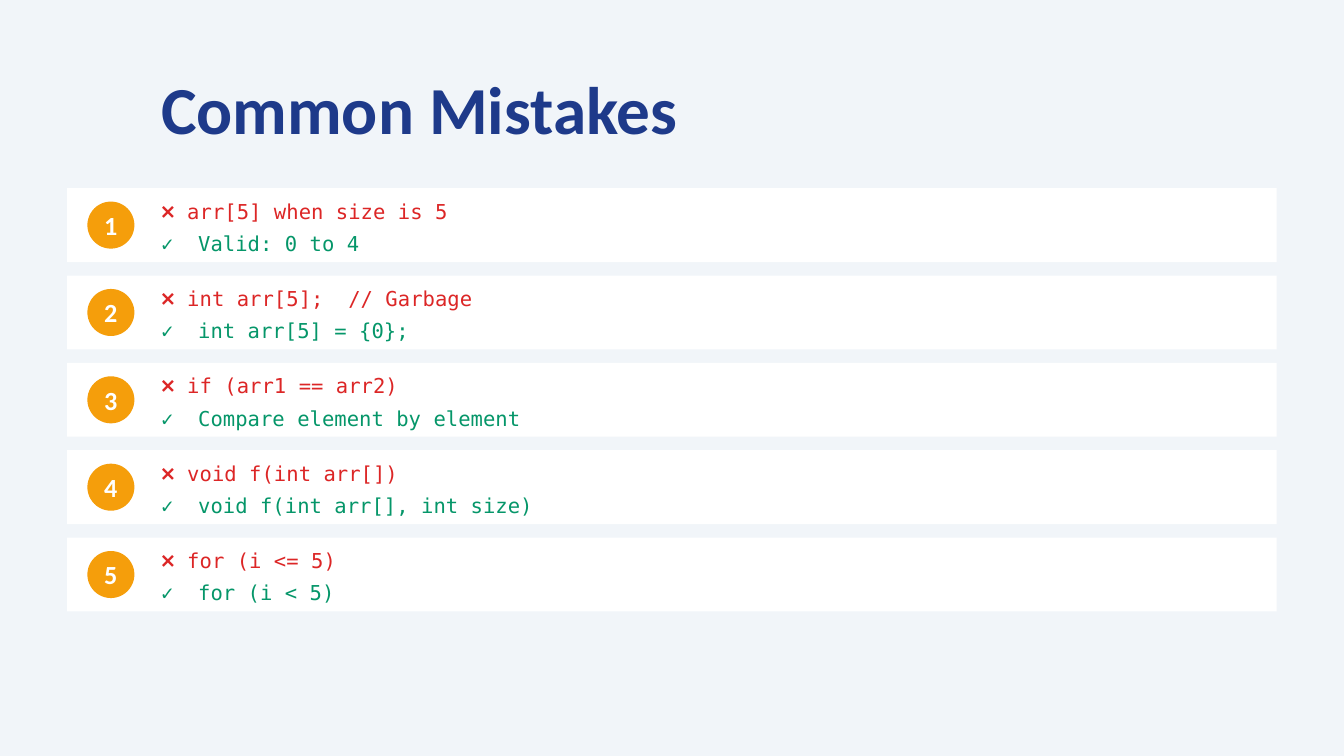
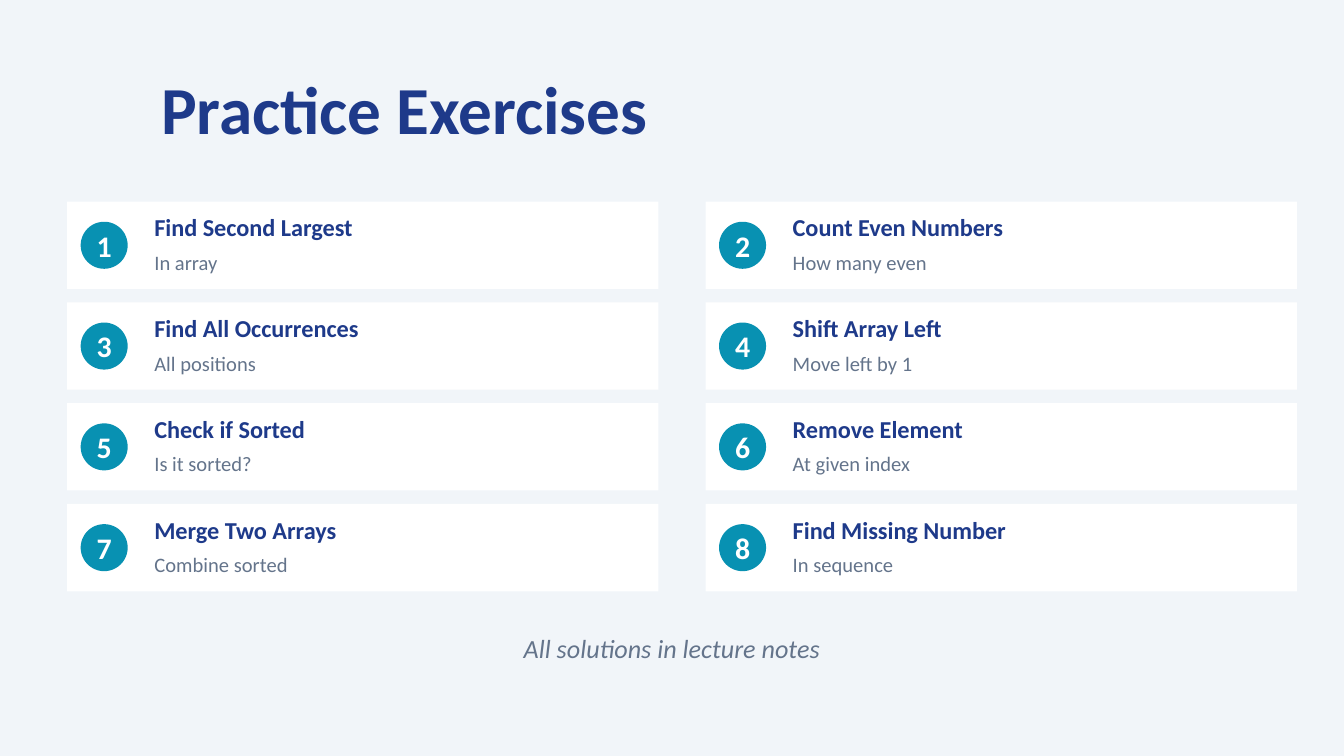
"""Build two array lecture slides: common mistakes and practice exercises."""
from pptx import Presentation
from pptx.dml.color import RGBColor
from pptx.enum.shapes import MSO_SHAPE as Shape
from pptx.enum.text import MSO_ANCHOR as Anchor, PP_ALIGN as Align
from pptx.util import Emu, Pt

PX = 4572
SLIDE_WIDTH, SLIDE_HEIGHT = 2000, 1125
BADGE_SIZE = 70
BODY_FONT, CODE_FONT = "Calibri", "DejaVu Sans Mono"
COLORS = {
    "background": "F1F5F9",
    "card": "FFFFFF",
    "heading": "1E3A8A",
    "muted": "64748B",
    "wrong": "DC2626",
    "right": "059669",
    "mistake_badge": "F59E0B",
    "exercise_badge": "0891B2",
    "badge_text": "FFFFFF",
}
MISTAKES = [
    ("❌ arr[5] when size is 5", "✓  Valid: 0 to 4"),
    ("❌ int arr[5];  // Garbage", "✓  int arr[5] = {0};"),
    ("❌ if (arr1 == arr2)", "✓  Compare element by element"),
    ("❌ void f(int arr[])", "✓  void f(int arr[], int size)"),
    ("❌ for (i <= 5)", "✓  for (i < 5)"),
]
EXERCISES = [
    ("Find Second Largest", "In array"),
    ("Count Even Numbers", "How many even"),
    ("Find All Occurrences", "All positions"),
    ("Shift Array Left", "Move left by 1"),
    ("Check if Sorted", "Is it sorted?"),
    ("Remove Element", "At given index"),
    ("Merge Two Arrays", "Combine sorted"),
    ("Find Missing Number", "In sequence"),
]


def rgb(name):
    return RGBColor.from_string(COLORS[name])


def to_emu(*lengths):
    return [Emu(length * PX) for length in lengths]


def write(shape, text, size, color, font=BODY_FONT, bold=False, italic=False, align=Align.LEFT):
    frame = shape.text_frame
    frame.word_wrap = True
    frame.vertical_anchor = Anchor.MIDDLE
    paragraph = frame.paragraphs[0]
    paragraph.alignment = align
    run = paragraph.add_run()
    run.text = text
    run.font.name = font
    run.font.size = Pt(size)
    run.font.bold = bold
    run.font.italic = italic
    run.font.color.rgb = rgb(color)


def add_text(slide, box, text, size, color, **style):
    write(slide.shapes.add_textbox(*to_emu(*box)), text, size, color, **style)


def add_filled(slide, kind, box, color):
    shape = slide.shapes.add_shape(kind, *to_emu(*box))
    shape.shadow.inherit = False
    shape.fill.solid()
    shape.fill.fore_color.rgb = rgb(color)
    shape.line.fill.background()
    return shape


def add_badge(slide, left, top, number, size, color):
    badge = add_filled(slide, Shape.OVAL, (left, top, BADGE_SIZE, BADGE_SIZE), color)
    frame = badge.text_frame
    frame.margin_left = frame.margin_right = frame.margin_top = frame.margin_bottom = 0
    write(badge, str(number), size, "badge_text", bold=True, align=Align.CENTER)


def add_titled_slide(presentation, title):
    slide = presentation.slides.add_slide(presentation.slide_layouts[6])
    slide.background.fill.solid()
    slide.background.fill.fore_color.rgb = rgb("background")
    add_text(slide, (220, 100, 1680, 120), title, 36, "heading", bold=True)
    return slide


def add_mistake(slide, top, number, wrong, right):
    add_filled(slide, Shape.RECTANGLE, (100, top, 1800, 110), "card")
    add_badge(slide, 130, top + 20, number, 14, "mistake_badge")
    add_text(slide, (220, top + 16, 1580, 36), wrong, 11, "wrong", font=CODE_FONT)
    add_text(slide, (220, top + 64, 1580, 36), right, 11, "right", font=CODE_FONT)


def add_exercise(slide, left, top, number, name, hint):
    add_filled(slide, Shape.RECTANGLE, (left, top, 880, 130), "card")
    add_badge(slide, left + 20, top + 30, number, 16, "exercise_badge")
    add_text(slide, (left + 110, top + 16, 750, 44), name, 13, "heading", bold=True)
    add_text(slide, (left + 110, top + 70, 750, 40), hint, 11, "muted")


def build_mistakes(presentation):
    slide = add_titled_slide(presentation, "Common Mistakes")
    for index, (wrong, right) in enumerate(MISTAKES):
        add_mistake(slide, 280 + index * 130, index + 1, wrong, right)


def build_exercises(presentation):
    slide = add_titled_slide(presentation, "Practice Exercises")
    for index, (name, hint) in enumerate(EXERCISES):
        row, column = divmod(index, 2)
        add_exercise(slide, 100 + column * 950, 300 + row * 150, index + 1, name, hint)
    add_text(slide, (100, 940, 1800, 50), "All solutions in lecture notes", 14, "muted",
             italic=True, align=Align.CENTER)


def main():
    presentation = Presentation()
    presentation.slide_width, presentation.slide_height = to_emu(SLIDE_WIDTH, SLIDE_HEIGHT)
    build_mistakes(presentation)
    build_exercises(presentation)
    presentation.save("out.pptx")


if __name__ == "__main__":
    main()
